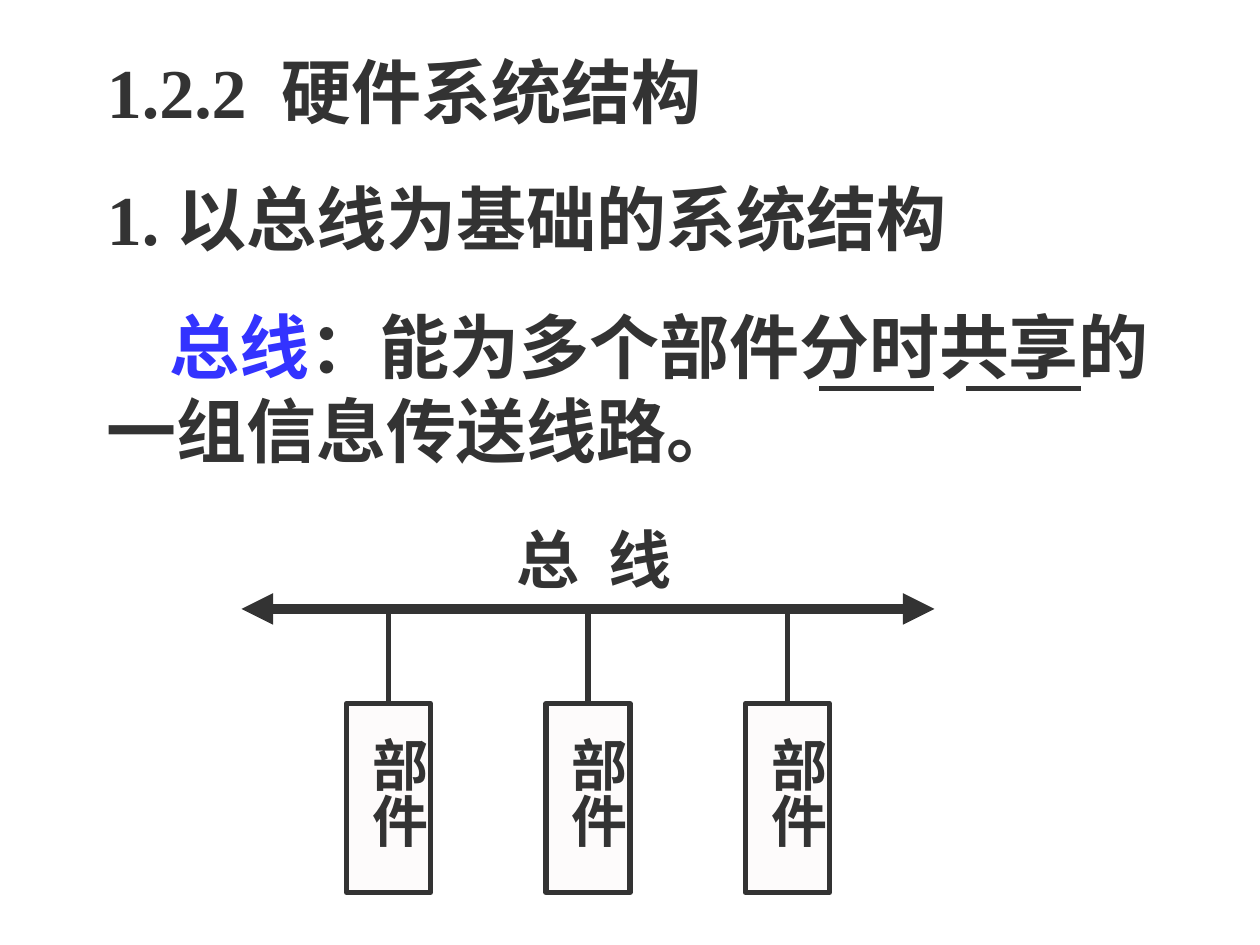
from lxml.etree import SubElement
from pptx import Presentation
from pptx.dml.color import RGBColor
from pptx.enum.lang import MSO_LANGUAGE_ID
from pptx.enum.shapes import MSO_CONNECTOR, MSO_SHAPE
from pptx.enum.text import MSO_AUTO_SIZE
from pptx.oxml.ns import qn
from pptx.util import Pt

COLORS = {"ink": "333333", "term": "3333FF", "unit": "FDFBFB"}
FONT = "Times New Roman"

explanation = [
    [("1.2.2  硬件系统结构", "ink")],
    [("1. 以总线为基础的系统结构", "ink")],
    [("总线", "term"), ("：能为多个部件分时共享的一组信息传送线路。", "ink")],
]
bus_label = [[("总  线", "ink")]]
units = ["部件", "部件", "部件"]

BUS_LEFT, BUS_RIGHT, BUS_Y = 138, 534, 348
UNIT_LEFT, UNIT_TOP, UNIT_WIDTH, UNIT_HEIGHT, UNIT_PITCH = 198, 402, 48, 108, 114
UNDERLINE_LEFT, UNDERLINE_WIDTH, UNDERLINE_PITCH, UNDERLINE_Y = 468, 66, 84, 222

presentation = Presentation()
presentation.slide_width, presentation.slide_height = Pt(720), Pt(540)
slide = presentation.slides.add_slide(presentation.slide_layouts[6])


def color(name):
    return RGBColor.from_string(COLORS[name])


def add_text(paragraphs, left, top, width, height, size, gap=0, last_indent=0,
             vertical=False):
    box = slide.shapes.add_textbox(Pt(left), Pt(top), Pt(width), Pt(height))
    frame = box.text_frame
    frame.word_wrap = True
    frame.auto_size = MSO_AUTO_SIZE.SHAPE_TO_FIT_TEXT
    side, end = (3.6, 7.2) if vertical else (7.2, 3.6)
    frame.margin_left = frame.margin_right = Pt(side)
    frame.margin_top = frame.margin_bottom = Pt(end)
    if vertical:
        frame._txBody.bodyPr.set("vert", "eaVert")
    for index, runs in enumerate(paragraphs):
        paragraph = frame.add_paragraph() if index else frame.paragraphs[0]
        if index:
            paragraph.space_before = Pt(gap)
        for words, shade in runs:
            run = paragraph.add_run()
            run.text = words
            run.font.name = FONT
            run.font.size = Pt(size)
            run.font.bold = True
            run.font.color.rgb = color(shade)
            run.font.language_id = MSO_LANGUAGE_ID.SIMPLIFIED_CHINESE
    if last_indent:
        paragraph._p.get_or_add_pPr().set("indent", str(Pt(last_indent)))


def add_line(x1, y1, x2, y2, weight=3, arrows=False):
    line = slide.shapes.add_connector(
        MSO_CONNECTOR.STRAIGHT, Pt(x1), Pt(y1), Pt(x2), Pt(y2))
    line.line.color.rgb = color("ink")
    line.line.width = Pt(weight)
    if arrows:
        for tip in ("a:headEnd", "a:tailEnd"):
            SubElement(line.line._get_or_add_ln(), qn(tip), type="triangle")
    SubElement(line._element.spPr, qn("a:effectLst"))
    return line


add_text(explanation, 54, 24, 642, 249, size=40, gap=25, last_indent=36)
add_line(BUS_LEFT, BUS_Y, BUS_RIGHT, BUS_Y, weight=6, arrows=True)
add_text(bus_label, 288, 294, 126, 50.4, size=36)

for index in range(2):
    start = UNDERLINE_LEFT + index * UNDERLINE_PITCH
    add_line(start, UNDERLINE_Y, start + UNDERLINE_WIDTH, UNDERLINE_Y)

for index, label in enumerate(units):
    left = UNIT_LEFT + index * UNIT_PITCH
    center = left + UNIT_WIDTH / 2
    drop = add_line(center, BUS_Y, center, UNIT_TOP)
    unit = slide.shapes.add_shape(
        MSO_SHAPE.RECTANGLE, Pt(left), Pt(UNIT_TOP), Pt(UNIT_WIDTH), Pt(UNIT_HEIGHT))
    unit.shadow.inherit = False
    unit.fill.solid()
    unit.fill.fore_color.rgb = color("unit")
    unit.line.color.rgb = color("ink")
    unit.line.width = Pt(3)
    drop.end_connect(unit, 0)
    add_text([[(label, "ink")]], left, UNIT_TOP + 12, 52.5, UNIT_HEIGHT,
             size=32, vertical=True)

presentation.save("out.pptx")
